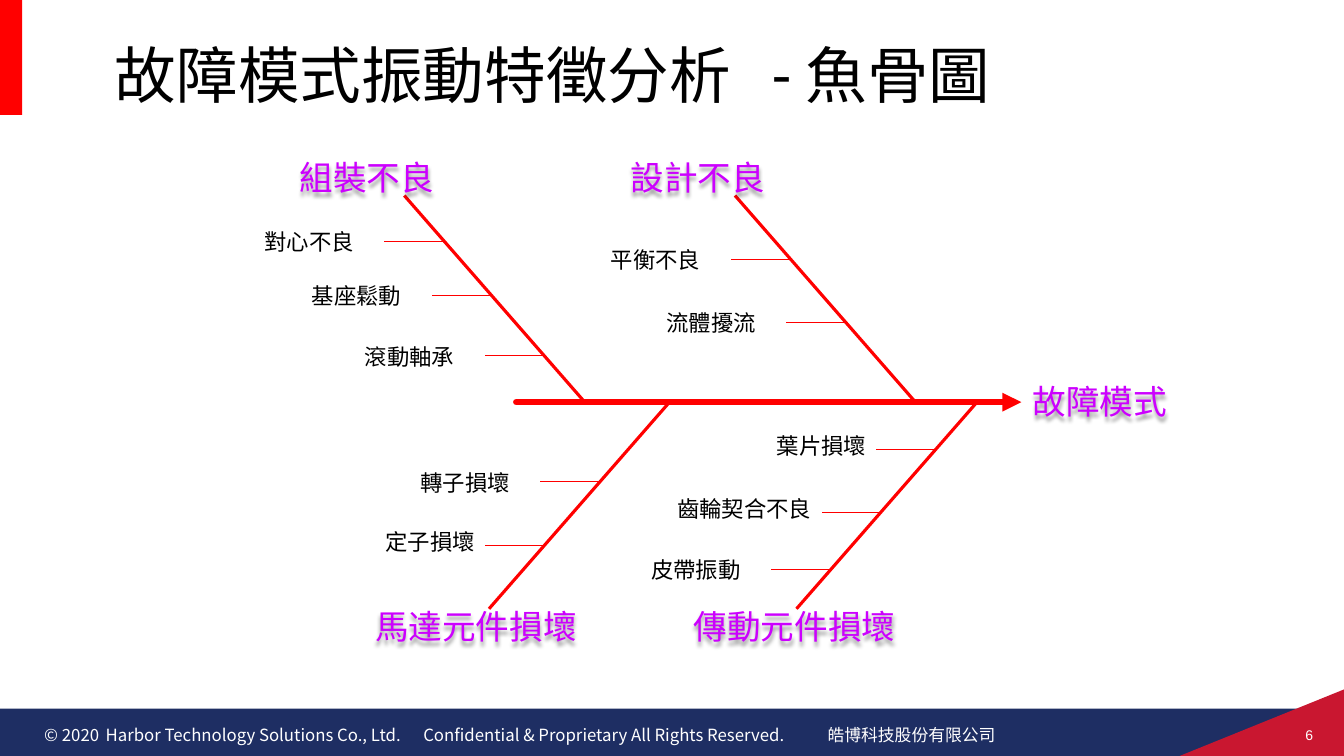
import pptx
import pptx.dml.color
import pptx.enum.dml
import pptx.enum.shapes
import pptx.enum.text
import pptx.oxml.ns
import pptx.util
from lxml import etree

Inches = pptx.util.Inches
Align = pptx.enum.text.PP_ALIGN
Anchor = pptx.enum.text.MSO_ANCHOR
qn = pptx.oxml.ns.qn

COLORS = {
    "navy": "1E2E63", "crimson": "C91730", "red": "FF0000",
    "purple": "CC00FF", "black": "000000", "white": "FFFFFF",
}
CJK_FONT = "Noto Sans CJK SC"

BONE_RUN, BONE_RISE = 1.79, 2.05
TWIG_LENGTH, TWIG_GAP = 0.59, 0.06
CAUSE_HEIGHT = 0.32
SPINE_Y = 3.99

# Category, label centre, label width, root on the spine, side (-1 above, 1 below),
# causes as (text, distance from the spine, box width, alignment)
BONES = [
    ("組裝不良", 3.64, 1.68, 5.80, -1, [
        ("對心不良", 1.60, 1.19, Align.LEFT),
        ("基座鬆動", 1.06, 1.19, Align.LEFT),
        ("滾動軸承", 0.46, 1.19, Align.LEFT)]),
    ("馬達元件損壞", 4.72, 2.16, 6.64, 1, [
        ("轉子損壞", 0.79, 1.19, Align.LEFT),
        ("定子損壞", 1.42, 1.19, Align.RIGHT)]),
    ("設計不良", 6.92, 1.68, 9.08, -1, [
        ("平衡不良", 1.42, 1.19, Align.LEFT),
        ("流體擾流", 0.79, 1.19, Align.LEFT)]),
    ("傳動元件損壞", 7.88, 2.39, 9.69, 1, [
        ("葉片損壞", 0.47, 1.19, Align.RIGHT),
        ("齒輪契合不良", 1.09, 1.53, Align.RIGHT),
        ("皮帶振動", 1.66, 1.19, Align.LEFT)]),
]


def rgb(name):
    return pptx.dml.color.RGBColor.from_string(COLORS[name])


def paint(shape, color):
    shape.shadow.inherit = False
    shape.fill.solid()
    shape.fill.fore_color.rgb = rgb(color)
    shape.line.fill.background()


def add_rectangle(slide, box, color):
    shape = slide.shapes.add_shape(
        pptx.enum.shapes.MSO_SHAPE.RECTANGLE, *map(Inches, box))
    paint(shape, color)


def add_text(slide, box, text, size, color="black", font=CJK_FONT, align=Align.LEFT,
             anchor=Anchor.TOP, insets=(0.1, 0.05, 0.1, 0.05), spacing=None,
             tabs=(), fill=None):
    """Place one formatted paragraph; tabs are in inches from the text edge."""
    shape = slide.shapes.add_textbox(*map(Inches, box))
    if fill:
        shape.fill.solid()
        shape.fill.fore_color.rgb = rgb(fill)
    frame = shape.text_frame
    frame.word_wrap = True
    frame.vertical_anchor = anchor
    (frame.margin_left, frame.margin_top,
     frame.margin_right, frame.margin_bottom) = map(Inches, insets)
    paragraph = frame.paragraphs[0]
    if tabs:
        properties = paragraph._p.get_or_add_pPr()
        tab_list = etree.SubElement(properties, qn("a:tabLst"))
        for position in tabs:
            etree.SubElement(tab_list, qn("a:tab"), pos=str(Inches(position)), algn="l")
    paragraph.alignment = align
    if spacing:
        paragraph.line_spacing = spacing
    run = paragraph.add_run()
    run.text = text
    run.font.size = pptx.util.Pt(size)
    run.font.name = font
    run.font.color.rgb = rgb(color)
    etree.SubElement(run.font._element, qn("a:ea"), typeface=CJK_FONT)
    return shape


def add_line(slide, start, end, width, arrow=False):
    line = slide.shapes.add_connector(
        pptx.enum.shapes.MSO_CONNECTOR.STRAIGHT, *map(Inches, (*start, *end)))
    line.line.color.rgb = rgb("red")
    line.line.width = pptx.util.Pt(width)
    if arrow:
        outline = line.line._get_or_add_ln()
        outline.set("cap", "rnd")
        etree.SubElement(outline, qn("a:tailEnd"), type="triangle")
    etree.SubElement(line._element.spPr, qn("a:effectLst"))


def add_heading(slide, box, text):
    """Purple label with a soft shadow below its letters."""
    shape = add_text(slide, box, text, 24, color="purple", align=Align.CENTER,
                     anchor=Anchor.MIDDLE, insets=(0.03,) * 4, spacing=0.85)
    effects = etree.SubElement(shape._element.spPr, qn("a:effectLst"))
    shadow = etree.SubElement(effects, qn("a:outerShdw"), blurRad=str(Inches(0.04)),
                              dist=str(Inches(0.04)), dir="5400000")
    tint = etree.SubElement(shadow, qn("a:srgbClr"), val=COLORS["black"])
    etree.SubElement(tint, qn("a:alpha"), val="40000")


def add_cause(slide, tip_x, y, text, width, align):
    """Twig ending on the bone at tip_x, with its cause to the left."""
    twig_left = tip_x - TWIG_LENGTH
    add_line(slide, (tip_x, y), (twig_left, y), 0.5)
    box = (twig_left - TWIG_GAP - width, y - CAUSE_HEIGHT / 2, width, CAUSE_HEIGHT)
    add_text(slide, box, text, 16, align=align, fill="white",
             insets=(0.06, 0.03, 0.04, 0.03),
             spacing=0.85 if align == Align.RIGHT else None)


def add_bone(slide, category, centre, width, root, side, causes):
    end_y = SPINE_Y + side * BONE_RISE
    add_line(slide, (root - BONE_RUN, end_y), (root, SPINE_Y), 2.25)
    label_top, label_height = (end_y - 0.32, 0.33) if side < 0 else (end_y, 0.4)
    add_heading(slide, (centre - width / 2, label_top, width, label_height), category)
    for text, distance, cause_width, align in causes:
        tip_x = root - BONE_RUN * distance / BONE_RISE
        add_cause(slide, tip_x, SPINE_Y + side * distance, text, cause_width, align)


def add_fishbone(slide, left, right):
    add_line(slide, (left, SPINE_Y), (right, SPINE_Y), 4.5, arrow=True)
    for bone in BONES:
        add_bone(slide, *bone)
    add_heading(slide, (right - 0.07, SPINE_Y - 0.48, 1.7, 1.01), "故障模式")


def add_footer(slide, left, top, width, height):
    add_rectangle(slide, (left, top, width, height), "navy")
    right, bottom = left + width, top + height
    builder = slide.shapes.build_freeform(Inches(right), Inches(bottom))
    builder.add_line_segments([
        (Inches(right), Inches(bottom - 0.66)),
        (Inches(right - 1.63), Inches(bottom))])
    paint(builder.convert_to_shape(), "crimson")
    add_text(slide, (right - 0.65, top + 0.08, 0.61, 0.37), "6", 10, color="white",
             font="Arial", align=Align.CENTER, anchor=Anchor.MIDDLE)
    add_text(slide, (left + 0.34, top + 0.11, 9.94, 0.3),
             "© 2020\tHarbor Technology Solutions Co., Ltd.\t"
             "Confidential & Proprietary All Rights Reserved.\t皓博科技股份有限公司",
             12, color="white", tabs=(0.61, 3.76, 7.77))


def add_title(slide, left, top, width, height):
    add_rectangle(slide, (0, 0, 0.22, 1.14), "red")
    add_text(slide, (left, top, width, height), "故障模式振動特徵分析\t- 魚骨圖", 44,
             font="Roboto", anchor=Anchor.MIDDLE, insets=(0.1,) * 4,
             spacing=0.9, tabs=(6.53,))


def main():
    presentation = pptx.Presentation()
    presentation.slide_width = Inches(13.33)
    presentation.slide_height = Inches(7.5)
    slide = presentation.slides.add_slide(presentation.slide_layouts[6])
    add_footer(slide, 0, 7.03, 13.33, 0.47)
    add_title(slide, 1.04, 0.32, 11.49, 0.91)
    add_fishbone(slide, 5.12, 10.13)
    presentation.save("out.pptx")


if __name__ == "__main__":
    main()
